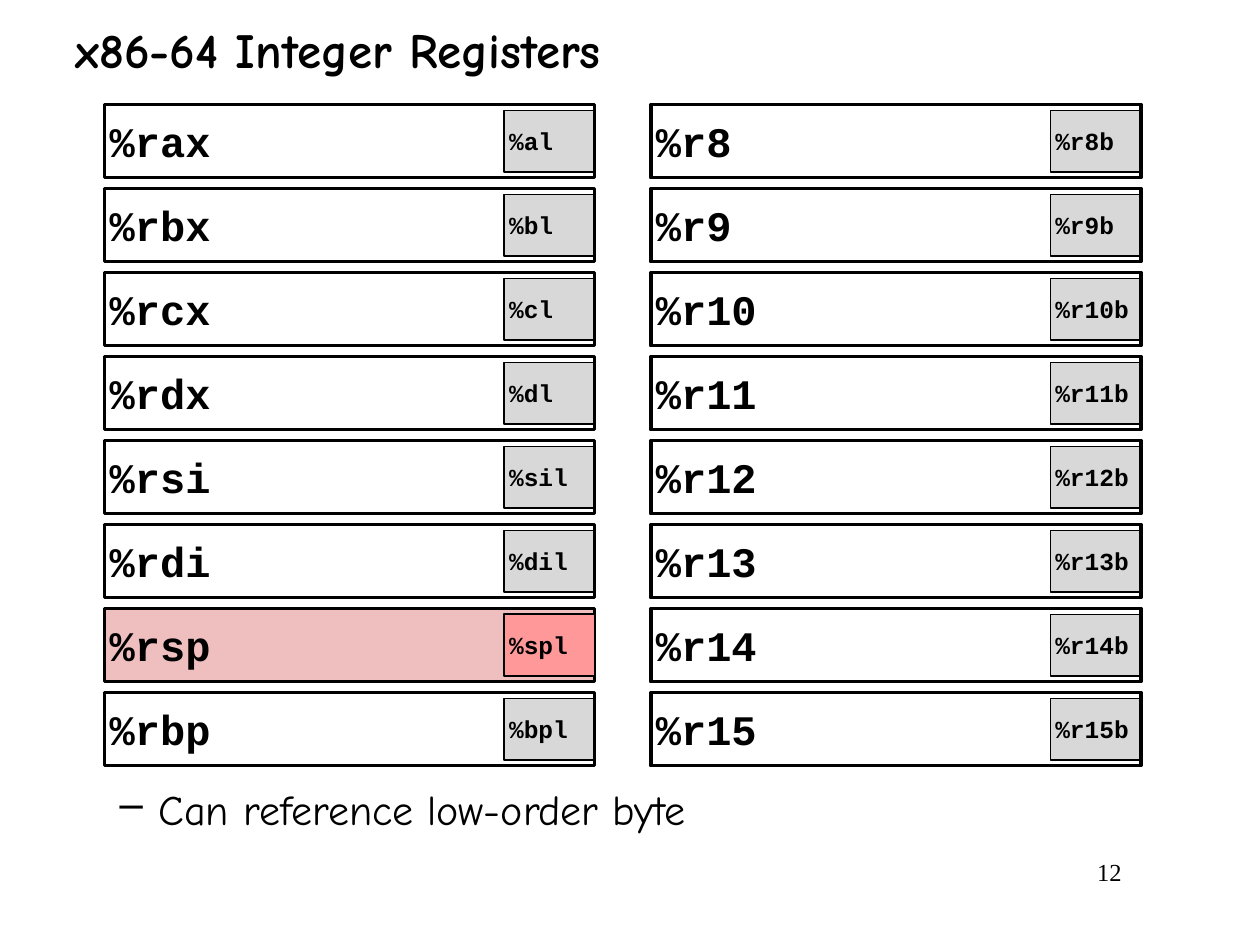
from lxml import etree
from pptx import Presentation
from pptx.dml.color import RGBColor
from pptx.enum import shapes, text
from pptx.oxml.ns import qn
from pptx.util import Inches, Pt

TITLE = "x86-64 Integer Registers"
NOTE = "Can reference low-order byte"
PAGE = "12"
# One list per column: (register, its low-order byte)
COLUMNS = [
    [("%rax", "%al"), ("%rbx", "%bl"), ("%rcx", "%cl"), ("%rdx", "%dl"),
     ("%rsi", "%sil"), ("%rdi", "%dil"), ("%rsp", "%spl"), ("%rbp", "%bpl")],
    [(f"%r{n}", f"%r{n}b") for n in range(8, 16)],
]
STACK_POINTER = "%rsp"

# Register grid, in inches
LEFT, TOP = 0.83, 0.83
COLUMN_STEP, ROW_STEP = 4.335, 2 / 3
REG_W, REG_H = 3.89, 0.58
BYTE_W, BYTE_H = 0.72, 0.49
BYTE_DX, BYTE_DY = REG_W - BYTE_W, 0.045

BLACK, GREY, PINK, RED = "000000", "D8D8D8", "EFBFBF", "FF9999"
MONO, HAND, SERIF = "Courier New", "Comic Neue", "Times New Roman"


def color(value):
    return RGBColor.from_string(value)


def write(shape, words, font=MONO, size=24, bold=False, align="LEFT",
          anchor="MIDDLE", inset=None):
    frame = shape.text_frame
    frame.word_wrap = True
    frame.vertical_anchor = text.MSO_ANCHOR[anchor]
    if inset is not None:
        frame.margin_left = frame.margin_right = Inches(inset)
        frame.margin_top = frame.margin_bottom = Inches(inset)
    paragraph = frame.paragraphs[0]
    paragraph.alignment = text.PP_ALIGN[align]
    run = paragraph.add_run()
    run.text = words
    run.font.name, run.font.size, run.font.bold = font, Pt(size), bold
    run.font.color.rgb = color(BLACK)
    return paragraph


def indent(paragraph, left, first):
    props = paragraph._p.get_or_add_pPr()
    props.set("marL", str(Inches(left)))
    props.set("indent", str(Inches(first)))
    return props


def add_box(slide, words, at, size, line, fill=None):
    box = slide.shapes.add_shape(shapes.MSO_SHAPE.RECTANGLE, *map(Inches, at))
    box.shadow.inherit = False
    if fill:
        box.fill.solid()
        box.fill.fore_color.rgb = color(fill)
    else:
        box.fill.background()
    box.line.color.rgb = color(BLACK)
    box.line.width = Pt(line)
    write(box, words, size=size, bold=True, inset=0.04)


def add_register(slide, register, low_byte, x, y):
    frame = (x, y, REG_W, REG_H)
    corner = (x + BYTE_DX, y + BYTE_DY, BYTE_W, BYTE_H)
    if register == STACK_POINTER:
        add_box(slide, register, frame, 24, 2, PINK)
        add_box(slide, low_byte, corner, 14, 1, RED)
    else:  # the unfilled frame lies over its byte
        add_box(slide, low_byte, corner, 14, 0.75, GREY)
        add_box(slide, register, frame, 24, 2)


def add_label(slide, words, at, **style):
    return write(slide.shapes.add_textbox(*map(Inches, at)), words, **style)


def main():
    deck = Presentation()
    deck.slide_width, deck.slide_height = Inches(10), Inches(7.5)
    slide = deck.slides.add_slide(deck.slide_layouts[6])

    # Title
    title = add_label(slide, TITLE, (0.5, 0.08, 8.83, 0.62),
                      font=HAND, size=28, bold=True)
    indent(title, 0.13, -0.13)

    # Registers
    for col, registers in enumerate(COLUMNS):
        for row, (register, low_byte) in enumerate(registers):
            add_register(slide, register, low_byte,
                         LEFT + col * COLUMN_STEP, TOP + row * ROW_STEP)

    # Note with a dash bullet
    note = add_label(slide, NOTE, (0.35, 6.17, 8.02, 0.92),
                     font=HAND, anchor="TOP")
    note.space_before = Pt(4.8)
    props = indent(note, 0.81, -0.31)
    etree.SubElement(props, qn("a:buChar")).set("char", "–")

    # Page number
    add_label(slide, PAGE, (7.58, 6.75, 1.42, 0.5), font=SERIF, size=14,
              align="RIGHT", anchor="TOP")

    deck.save("out.pptx")


if __name__ == "__main__":
    main()
